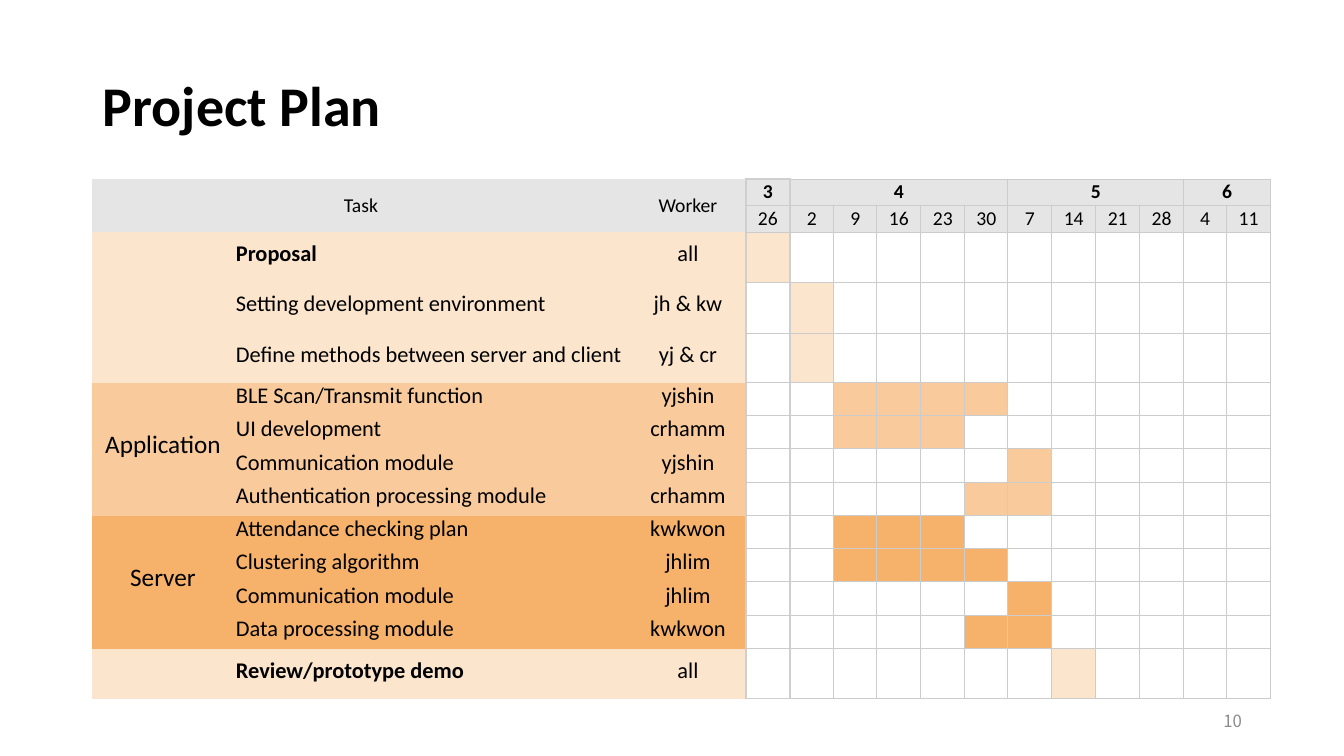
from dataclasses import dataclass
from typing import Optional

from lxml.etree import SubElement
from pptx import Presentation
from pptx.dml.color import RGBColor
from pptx.enum.text import MSO_ANCHOR as Anchor, PP_ALIGN as Align
from pptx.oxml.ns import qn
from pptx.util import Pt

EMU_PER_PIXEL = 914400 / 100.8
FONT = "Calibri"
BLACK, HEADER, GRID, EDGE = "000000", "E5E5E5", "CCCCCC", "D0CECE"
PALE, MEDIUM, STRONG = "FCE5CD", "F9CB9C", "F6B26B"


@dataclass
class Task:
    name: str
    worker: str
    color: str
    first_week: int
    weeks: int
    height: int
    bold: bool = False


@dataclass
class Month:
    name: str
    days: list[int]


@dataclass
class Group:
    name: str
    first_task: int
    last_task: int


@dataclass
class TextStyle:
    size: int
    bold: bool = False
    align: Align = Align.CENTER
    anchor: Anchor = Anchor.MIDDLE
    font: str = FONT
    color: str = BLACK
    spacing: Optional[float] = None


MONTHS = [
    Month("3", [26]),
    Month("4", [2, 9, 16, 23, 30]),
    Month("5", [7, 14, 21, 28]),
    Month("6", [4, 11]),
]
TASKS = [
    Task("Proposal", "all", PALE, 0, 1, 50, True),
    Task("Setting development environment", "jh & kw", PALE, 1, 1, 51),
    Task("Define methods between server and client", "yj & cr", PALE, 1, 1, 50),
    Task("BLE Scan/Transmit function", "yjshin", MEDIUM, 2, 4, 33),
    Task("UI development", "crhamm", MEDIUM, 2, 3, 33),
    Task("Communication module", "yjshin", MEDIUM, 6, 1, 34),
    Task("Authentication processing module", "crhamm", MEDIUM, 5, 2, 33),
    Task("Attendance checking plan", "kwkwon", STRONG, 2, 3, 33),
    Task("Clustering algorithm", "jhlim", STRONG, 2, 4, 33),
    Task("Communication module", "jhlim", STRONG, 6, 1, 34),
    Task("Data processing module", "kwkwon", STRONG, 5, 2, 33),
    Task("Review/prototype demo", "all", PALE, 7, 1, 50, True),
]
GROUPS = [Group("Application", 3, 6), Group("Server", 7, 10)]

LEFT, TOP = 92, 179
LABEL_WIDTHS = [142, 396, 116]
HEADER_HEIGHTS = [26, 27]
WEEKS_WIDTH = 525
LABELS, HEADERS = len(LABEL_WIDTHS), len(HEADER_HEIGHTS)
WEEKS = sum(len(month.days) for month in MONTHS)


def px(pixels: float) -> int:
    return round(pixels * EMU_PER_PIXEL)


def rgb(color: str) -> RGBColor:
    return RGBColor.from_string(color)


def write(text_frame, text: str, style: TextStyle) -> None:
    text_frame.text = text
    paragraph = text_frame.paragraphs[0]
    paragraph.alignment = style.align
    if style.spacing:
        paragraph.line_spacing = style.spacing
    font = paragraph.runs[0].font
    font.name, font.size, font.bold = style.font, Pt(style.size), style.bold
    font.color.rgb = rgb(style.color)


def write_cell(cell, text: str, style: TextStyle) -> None:
    write(cell.text_frame, text, style)
    cell.vertical_anchor = style.anchor


def add_text(slide, box: tuple[int, int, int, int], text: str, style: TextStyle) -> None:
    shape = slide.shapes.add_textbox(*map(px, box))
    shape.text_frame.word_wrap = True
    shape.text_frame.vertical_anchor = style.anchor
    write(shape.text_frame, text, style)


def set_borders(cell, borders: dict[str, tuple[str, float]]) -> None:
    """Draw the named sides (L, R, T, B) and clear the others."""
    properties = cell._tc.get_or_add_tcPr()
    for index, side in enumerate("LRTB"):
        line = SubElement(properties, qn(f"a:ln{side}"))
        properties.insert(index, line)
        if side in borders:
            color, width = borders[side]
            line.set("w", str(Pt(width)))
            fill = SubElement(line, qn("a:solidFill"))
            SubElement(fill, qn("a:srgbClr")).set("val", color)
        else:
            SubElement(line, qn("a:noFill"))


def style_cell(cell, row: int, column: int, color: Optional[str]) -> None:
    cell.margin_left = cell.margin_right = px(2)
    cell.margin_top = cell.margin_bottom = px(1)
    if color:
        cell.fill.solid()
        cell.fill.fore_color.rgb = rgb(color)
    else:
        cell.fill.background()
    grid, edge = (GRID, 0.75), (EDGE, 1)
    if column < LABELS:
        borders = {"R": edge} if column == LABELS - 1 else {}
    else:
        week = column - LABELS
        borders = dict.fromkeys("LRTB", grid)
        if week <= 1:
            borders["L"] = edge
        if week == 0:
            borders["R"] = edge
            if row == 0:
                borders["T"] = edge
            if row == HEADERS + len(TASKS) - 1:
                borders["B"] = edge
    set_borders(cell, borders)


def cell_color(row: int, column: int) -> Optional[str]:
    if row < HEADERS:
        return HEADER
    task, week = TASKS[row - HEADERS], column - LABELS
    busy = task.first_week <= week < task.first_week + task.weeks
    return task.color if week < 0 or busy else None


def add_plan(slide) -> None:
    edges = [round(WEEKS_WIDTH * week / WEEKS) for week in range(WEEKS + 1)]
    widths = LABEL_WIDTHS + [end - start for start, end in zip(edges, edges[1:])]
    heights = HEADER_HEIGHTS + [task.height for task in TASKS]
    frame = slide.shapes.add_table(len(heights), len(widths), px(LEFT), px(TOP),
                                   px(sum(widths)), px(sum(heights)))
    table = frame.table
    table.first_row = table.horz_banding = False
    for column, width in enumerate(widths):
        table.columns[column].width = px(width)
    for row, height in enumerate(heights):
        table.rows[row].height = px(height)
        for column in range(len(widths)):
            style_cell(table.cell(row, column), row, column, cell_color(row, column))

    # Header
    heading = TextStyle(14)
    table.cell(0, 0).merge(table.cell(1, 1))
    table.cell(0, 2).merge(table.cell(1, 2))
    write_cell(table.cell(0, 0), "Task", heading)
    write_cell(table.cell(0, 2), "Worker", heading)
    column = LABELS
    for month in MONTHS:
        month_cell = table.cell(0, column)
        if len(month.days) > 1:
            month_cell.merge(table.cell(0, column + len(month.days) - 1))
        write_cell(month_cell, month.name, TextStyle(14, True, anchor=Anchor.BOTTOM))
        for day in month.days:
            write_cell(table.cell(1, column), str(day), TextStyle(14, anchor=Anchor.BOTTOM))
            column += 1

    # Tasks and their groups
    for row, task in enumerate(TASKS, HEADERS):
        write_cell(table.cell(row, 1), task.name,
                   TextStyle(16, task.bold, Align.LEFT, spacing=Pt(15)))
        write_cell(table.cell(row, 2), task.worker, TextStyle(16, spacing=Pt(15)))
    for group in GROUPS:
        group_cell = table.cell(HEADERS + group.first_task, 0)
        group_cell.merge(table.cell(HEADERS + group.last_task, 0))
        write_cell(group_cell, group.name, TextStyle(18, spacing=Pt(15)))


presentation = Presentation()
presentation.slide_width, presentation.slide_height = px(1344), px(756)
slide = presentation.slides.add_slide(presentation.slide_layouts[6])

add_plan(slide)
add_text(slide, (93, 35, 1159, 146), "Project Plan", TextStyle(40, True, Align.LEFT, spacing=0.9))
add_text(slide, (950, 701, 302, 40), "10",
         TextStyle(12, align=Align.RIGHT, font="Noto Sans CJK KR", color="8C8C8C"))

presentation.save("out.pptx")
